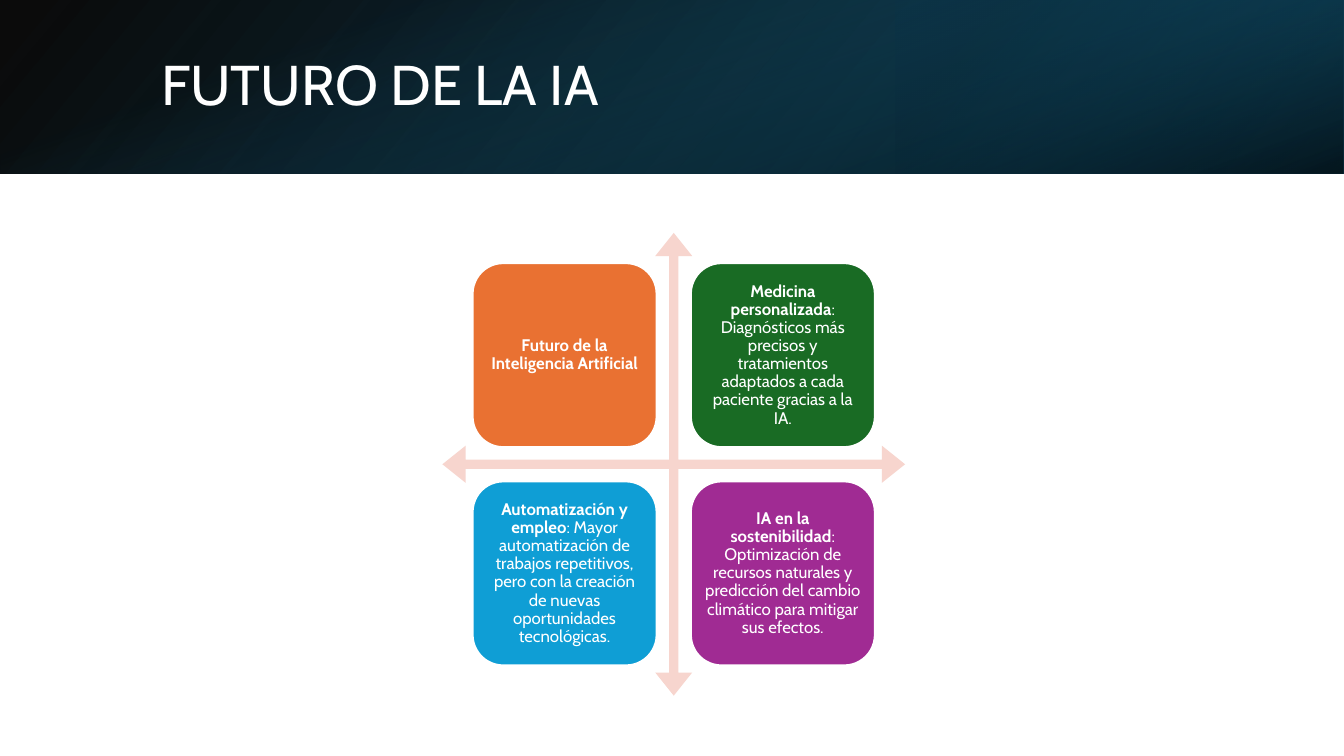
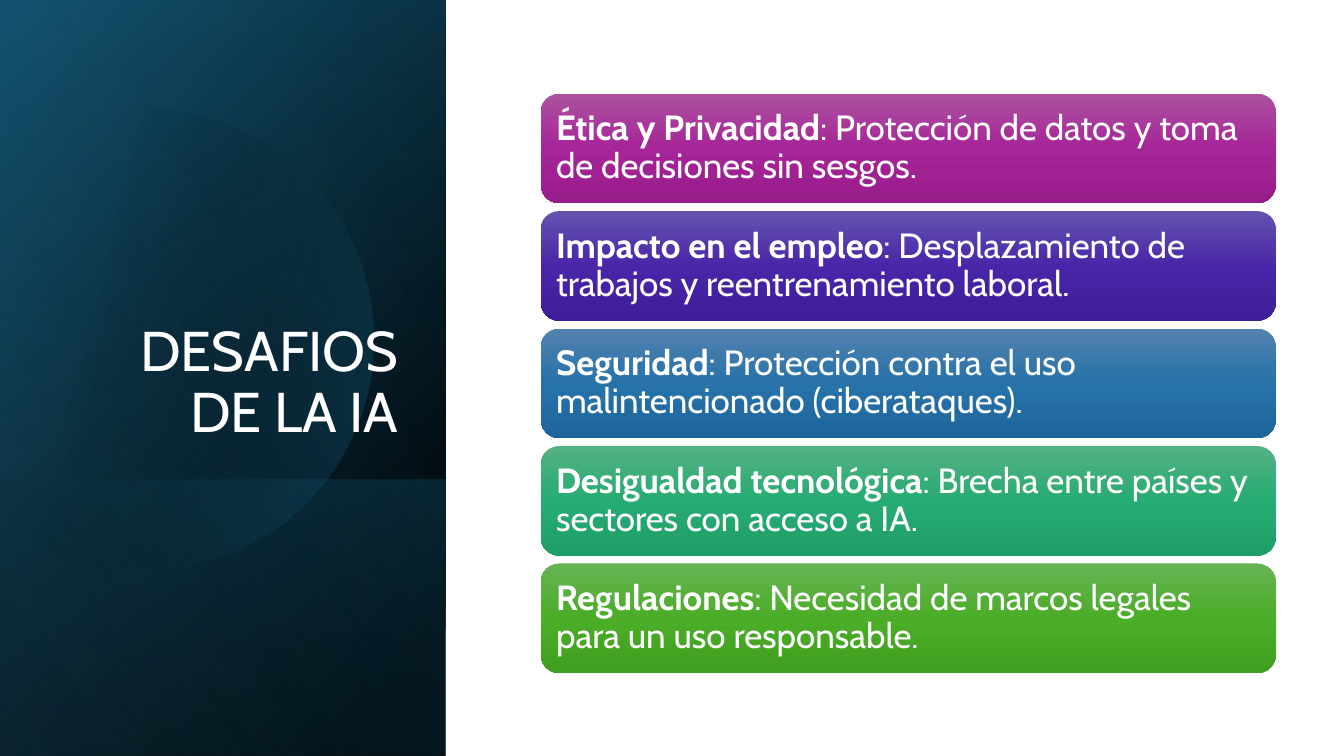
from math import acos, cos, pi, sin

from lxml import etree
from pptx import Presentation
from pptx.dml.color import RGBColor
from pptx.enum.shapes import MSO_SHAPE
from pptx.enum.text import MSO_ANCHOR, MSO_AUTO_SIZE, PP_ALIGN
from pptx.oxml.ns import qn
from pptx.util import Cm, Pt

RECT = MSO_SHAPE.RECTANGLE
ROUND = MSO_SHAPE.ROUNDED_RECTANGLE
CROSS = MSO_SHAPE.QUAD_ARROW
LEFT, CENTER, RIGHT = PP_ALIGN.LEFT, PP_ALIGN.CENTER, PP_ALIGN.RIGHT
MIDDLE, BOTTOM = MSO_ANCHOR.MIDDLE, MSO_ANCHOR.BOTTOM
FIXED = MSO_AUTO_SIZE.NONE

WHITE = RGBColor(0xFF, 0xFF, 0xFF)
BLACK = RGBColor(0, 0, 0)
NAVY = RGBColor(0x10, 0x48, 0x62)
DEEP = RGBColor(0x0B, 0x30, 0x41)
TEAL = RGBColor(0x15, 0x60, 0x82)
SKY = RGBColor(0x46, 0xB1, 0xE1)
PINK = RGBColor(0xF7, 0xD5, 0xCE)
ORANGE = RGBColor(0xE9, 0x71, 0x32)
GREEN = RGBColor(0x19, 0x6B, 0x24)
BLUE = RGBColor(0x0F, 0x9E, 0xD5)
PURPLE = RGBColor(0xA0, 0x2B, 0x93)

PLUM = [RGBColor(0xAC, 0x53, 0xA0), RGBColor(0xA6, 0x25, 0x98), RGBColor(0x99, 0x1C, 0x8B)]
VIOLET = [RGBColor(0x65, 0x53, 0xAE), RGBColor(0x49, 0x26, 0xA8), RGBColor(0x3E, 0x1C, 0x9A)]
STEEL = [RGBColor(0x53, 0x82, 0xAF), RGBColor(0x27, 0x72, 0xA9), RGBColor(0x1D, 0x66, 0x9C)]
JADE = [RGBColor(0x54, 0xB1, 0x83), RGBColor(0x27, 0xAB, 0x74), RGBColor(0x1E, 0x9E, 0x68)]
LEAF = [RGBColor(0x66, 0xB3, 0x54), RGBColor(0x4B, 0xAD, 0x28), RGBColor(0x40, 0x9F, 0x1E)]

FONT = "Cabin"
WIDE, HIGH = 33.87, 19.05

TILES = [
    (ORANGE, "Futuro de la Inteligencia Artificial", ""),
    (GREEN, "Medicina personalizada",
     ": Diagnósticos más precisos y tratamientos adaptados a cada paciente gracias a la IA."),
    (BLUE, "Automatización y empleo",
     ": Mayor automatización de trabajos repetitivos, pero con la creación de nuevas "
     "oportunidades tecnológicas."),
    (PURPLE, "IA en la sostenibilidad",
     ": Optimización de recursos naturales y predicción del cambio climático para mitigar "
     "sus efectos."),
]
BARS = [
    (PLUM, "Ética y Privacidad", ": Protección de datos y toma de decisiones sin sesgos."),
    (VIOLET, "Impacto en el empleo", ": Desplazamiento de trabajos y reentrenamiento laboral."),
    (STEEL, "Seguridad", ": Protección contra el uso malintencionado (ciberataques)."),
    (JADE, "Desigualdad tecnológica", ": Brecha entre países y sectores con acceso a IA."),
    (LEAF, "Regulaciones", ": Necesidad de marcos legales para un uso responsable."),
]


def blend(shape, stops, angle):
    shape.fill.gradient()
    grad = shape.fill._xPr.find(qn("a:gradFill"))
    marks = grad.find(qn("a:gsLst"))
    for mark in list(marks):
        marks.remove(mark)
    for spot, color, alpha in stops:
        mark = etree.SubElement(marks, qn("a:gs"), pos=str(spot * 1000))
        tone = etree.SubElement(mark, qn("a:srgbClr"), val=str(color))
        if alpha < 100:
            etree.SubElement(tone, qn("a:alpha"), val=str(alpha * 1000))
    grad.find(qn("a:lin")).set("ang", str(angle * 60000))


def plain(shape):
    shape.shadow.inherit = False
    shape.line.fill.background()
    return shape


def add_shape(slide, kind, box):
    return plain(slide.shapes.add_shape(kind, *map(Cm, box)))


def add_layer(slide, box, stops, angle, turn=0, flip=False):
    left, top, width, height = box
    if turn == 90:
        shift = (width - height) / 2
        box = left + shift, top - shift, height, width
    layer = add_shape(slide, RECT, box)
    layer.rotation = turn
    if flip:
        layer._element.spPr.find(qn("a:xfrm")).set("flipH", "1")
    blend(layer, stops, angle)


def add_disc(slide, mid_x, mid_y, radius, stops, angle):
    steps = 90
    reach = acos(-mid_x / radius)
    turns = [reach * (2 * step / steps - 1) for step in range(steps + 1)]
    points = [(Cm(mid_x + radius * cos(turn)), Cm(mid_y + radius * sin(turn)))
              for turn in turns]
    pen = slide.shapes.build_freeform(*points[0])
    pen.add_line_segments(points[1:], close=True)
    blend(plain(pen.convert_to_shape()), stops, angle)


def set_title(slide, text, box, align, anchor):
    title = slide.shapes.title
    slide.shapes._spTree.append(title._element)
    title.left, title.top, title.width, title.height = map(Cm, box)
    frame = title.text_frame
    frame.text = text
    frame.word_wrap = True
    frame.auto_size = FIXED
    frame.vertical_anchor = anchor
    style(frame.paragraphs[0], 40, align)


def style(para, size, align):
    para.alignment = align
    para.line_spacing = 0.9
    para.font.name = FONT
    para.font.size = Pt(size)
    para.font.color.rgb = WHITE


def add_card(slide, box, head, rest, size, align, inset):
    card = add_shape(slide, ROUND, box)
    frame = card.text_frame
    frame.word_wrap = True
    frame.vertical_anchor = MIDDLE
    frame.margin_left = frame.margin_right = Cm(inset)
    frame.margin_top = frame.margin_bottom = Cm(inset)
    para = frame.paragraphs[0]
    style(para, size, align)
    for text, bold in ((head, True), (rest, False)):
        if text:
            run = para.add_run()
            run.text = text
            run.font.bold = bold
    return card


def add_band(slide, width, height):
    third = width / 3
    add_layer(slide, (0, 0, width, height), [(0, BLACK, 96), (100, NAVY, 100)], 140, flip=True)
    add_layer(slide, (width - third, 0, third, height),
              [(19, DEEP, 68), (100, TEAL, 79)], 320, 180, True)
    add_layer(slide, (0, 0, width, height), [(23, TEAL, 0), (99, BLACK, 74)], 340, 90)


def add_panel(slide, width, height):
    box = 0, 0, width, height
    foot = 6.96
    add_layer(slide, box, [(8, BLACK, 100), (100, NAVY, 100)], 50, 90, True)
    add_layer(slide, box, [(0, BLACK, 0), (99, TEAL, 46)], 30, 90, True)
    add_layer(slide, (0, height - foot, width, foot),
              [(2, TEAL, 29), (100, BLACK, 30)], 130, 90, True)
    add_disc(slide, 3.6, 8.55, 5.82, [(29, BLACK, 0), (100, TEAL, 43)], 14)
    add_layer(slide, box, [(0, BLACK, 0), (99, SKY, 11)], 120, 90, True)


def add_matrix(slide, left, top, size):
    cross = add_shape(slide, CROSS, (left, top, size, size))
    cross.fill.solid()
    cross.fill.fore_color.rgb = PINK
    for place, value in enumerate((0.02, 0.04, 0.05)):
        cross.adjustments[place] = value
    edge, side = 0.76, 4.64
    pitch = size - 2 * edge - side
    for place, (color, head, rest) in enumerate(TILES):
        row, col = divmod(place, 2)
        box = left + edge + col * pitch, top + edge + row * pitch, side, side
        tile = add_card(slide, box, head, rest, 12, CENTER, 0.12)
        tile.fill.solid()
        tile.fill.fore_color.rgb = color
        tile.line.color.rgb = WHITE
        tile.line.width = Pt(1.5)


def add_list(slide, left, top, width, height):
    gap = 0.2
    tall = (height - gap * (len(BARS) - 1)) / len(BARS)
    for place, (tones, head, rest) in enumerate(BARS):
        box = left, top + place * (tall + gap), width, tall
        bar = add_card(slide, box, head, rest, 25, LEFT, 0.25)
        blend(bar, [(spot, tone, 100) for spot, tone in zip((0, 50, 100), tones)], 90)


def build_future(slide):
    add_band(slide, WIDE, 4.37)
    set_title(slide, "FUTURO DE LA IA", (3.81, 0.97, 27.89, 2.44), LEFT, MIDDLE)
    add_matrix(slide, 11.15, 5.87, 11.66)


def build_risks(slide):
    add_panel(slide, 11.23, HIGH)
    set_title(slide, "DESAFIOS DE LA IA", (1.63, 4.67, 8.66, 6.65), RIGHT, BOTTOM)
    add_list(slide, 13.63, 2.36, 18.52, 14.6)


def main():
    deck = Presentation()
    deck.slide_width, deck.slide_height = Cm(WIDE), Cm(HIGH)
    for build in (build_future, build_risks):
        build(deck.slides.add_slide(deck.slide_layouts[5]))
    deck.save("out.pptx")


if __name__ == "__main__":
    main()
